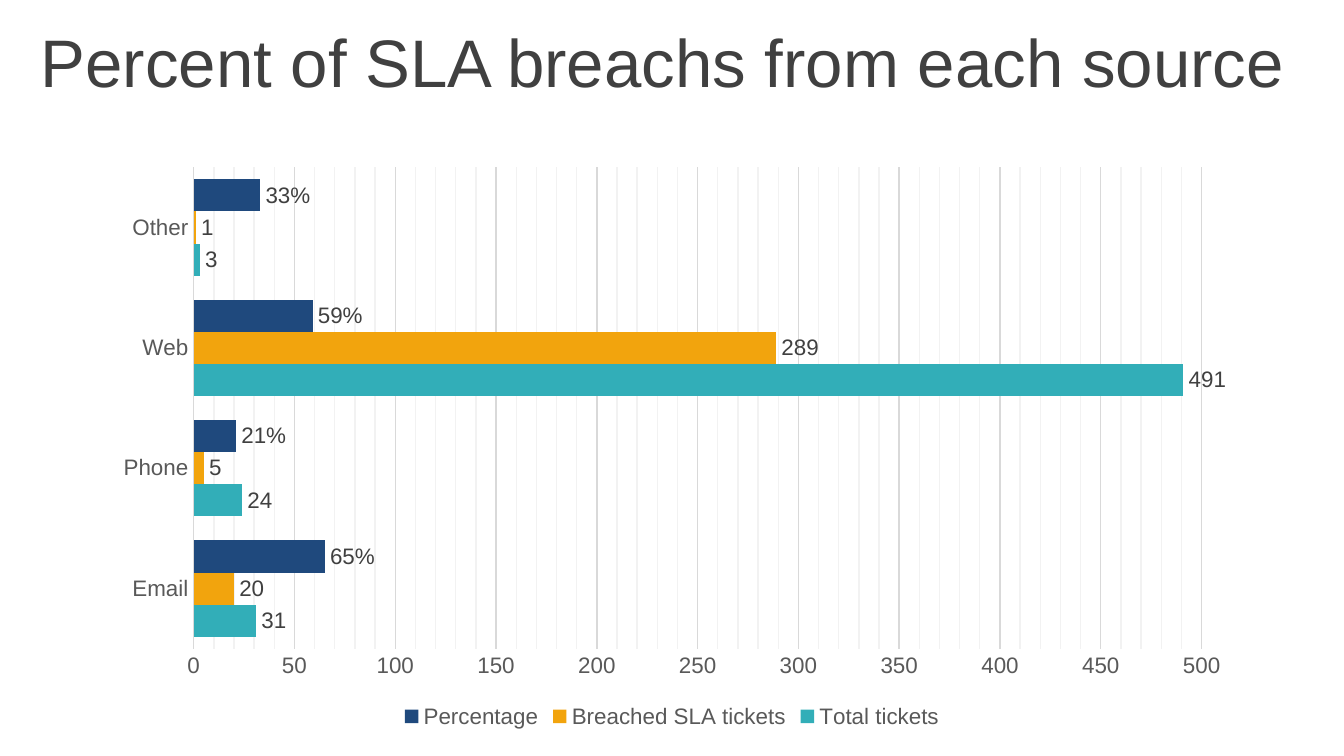
from copy import deepcopy

from pptx import Presentation
from pptx.chart.data import CategoryChartData
from pptx.dml.color import RGBColor
from pptx.enum import chart as ch, text
from pptx.oxml.ns import qn
from pptx.util import Pt

TITLE = "Percent of SLA breachs from each source "
SOURCES = ["Email", "Phone", "Web", "Other"]
# name, values, colour, label number format
SERIES = [
    ("Total tickets", [31, 24, 491, 3], "teal", "0"),
    ("Breached SLA tickets", [20, 5, 289, 1], "orange", "0"),
    ("Percentage", [65, 21, 59, 33], "navy", '0"%"'),
]
COLORS = {
    "teal": "32AEB8", "orange": "F2A40D", "navy": "1F497D",
    "dark": "404040", "grey": "595959", "grid": "D9D9D9", "minor": "F2F2F2",
}
FONT = "Arial"


def rgb(name):
    return RGBColor.from_string(COLORS[name])


def style_font(font, size, color):
    font.name = FONT
    font.size = Pt(size)
    font.bold = False
    font.color.rgb = rgb(color)


def style_line(line, color):
    line.color.rgb = rgb(color)
    line.width = Pt(0.75)


def style_gridlines(axis):
    """Give minor gridlines the major line format in a paler colour."""
    axis.has_major_gridlines = axis.has_minor_gridlines = True
    style_line(axis.major_gridlines.format.line, "grid")
    major = axis._element.find(qn("c:majorGridlines"))
    minor = axis._element.find(qn("c:minorGridlines"))
    properties = deepcopy(major.find(qn("c:spPr")))
    next(properties.iter(qn("a:srgbClr"))).set("val", COLORS["minor"])
    minor.append(properties)


def add_title(slide):
    title = slide.shapes.title
    title.left, title.top, title.width, title.height = Pt(0), Pt(10), Pt(720), Pt(45)
    frame = title.text_frame
    frame.text = TITLE
    frame.word_wrap = True
    frame.auto_size = text.MSO_AUTO_SIZE.NONE
    frame.vertical_anchor = text.MSO_ANCHOR.MIDDLE
    paragraph = frame.paragraphs[0]
    paragraph.alignment = text.PP_ALIGN.CENTER
    style_font(paragraph.font, 36, "dark")


def add_breach_chart(slide):
    data = CategoryChartData()
    data.categories = SOURCES
    for name, values, _, number_format in SERIES:
        data.add_series(name, values, number_format)
    chart = slide.shapes.add_chart(
        ch.XL_CHART_TYPE.BAR_CLUSTERED, Pt(54), Pt(83.5), Pt(612), Pt(309.6), data
    ).chart
    chart.has_title = False
    style_font(chart.font, 12, "grey")

    chart.has_legend = True
    chart.legend.position = ch.XL_LEGEND_POSITION.BOTTOM
    chart.legend.include_in_layout = False
    style_font(chart.legend.font, 12, "grey")

    for axis in (chart.category_axis, chart.value_axis):
        axis.major_tick_mark = axis.minor_tick_mark = ch.XL_TICK_MARK.NONE
        style_font(axis.tick_labels.font, 12, "grey")
    style_line(chart.category_axis.format.line, "grid")

    axis = chart.value_axis
    axis.minimum_scale, axis.maximum_scale = 0, 500
    axis.major_unit, axis.minor_unit = 50, 10
    axis.tick_labels.number_format = "0"
    axis.tick_labels.number_format_is_linked = False
    axis.format.line.fill.background()
    style_gridlines(axis)

    plot = chart.plots[0]
    plot.vary_by_categories = False
    plot.gap_width = 75
    plot.overlap = 0
    for series, (_, _, color, number_format) in zip(plot.series, SERIES):
        series.format.fill.solid()
        series.format.fill.fore_color.rgb = rgb(color)
        labels = series.data_labels
        labels.show_value = True
        labels.number_format = number_format
        labels.number_format_is_linked = False
        labels.position = ch.XL_LABEL_POSITION.OUTSIDE_END
        style_font(labels.font, 12, "dark")


def main():
    presentation = Presentation()
    presentation.slide_width, presentation.slide_height = Pt(720), Pt(405)
    title_only = presentation.slide_layouts.get_by_name("Title Only")
    slide = presentation.slides.add_slide(title_only)
    add_title(slide)
    add_breach_chart(slide)
    presentation.save("out.pptx")


if __name__ == "__main__":
    main()
